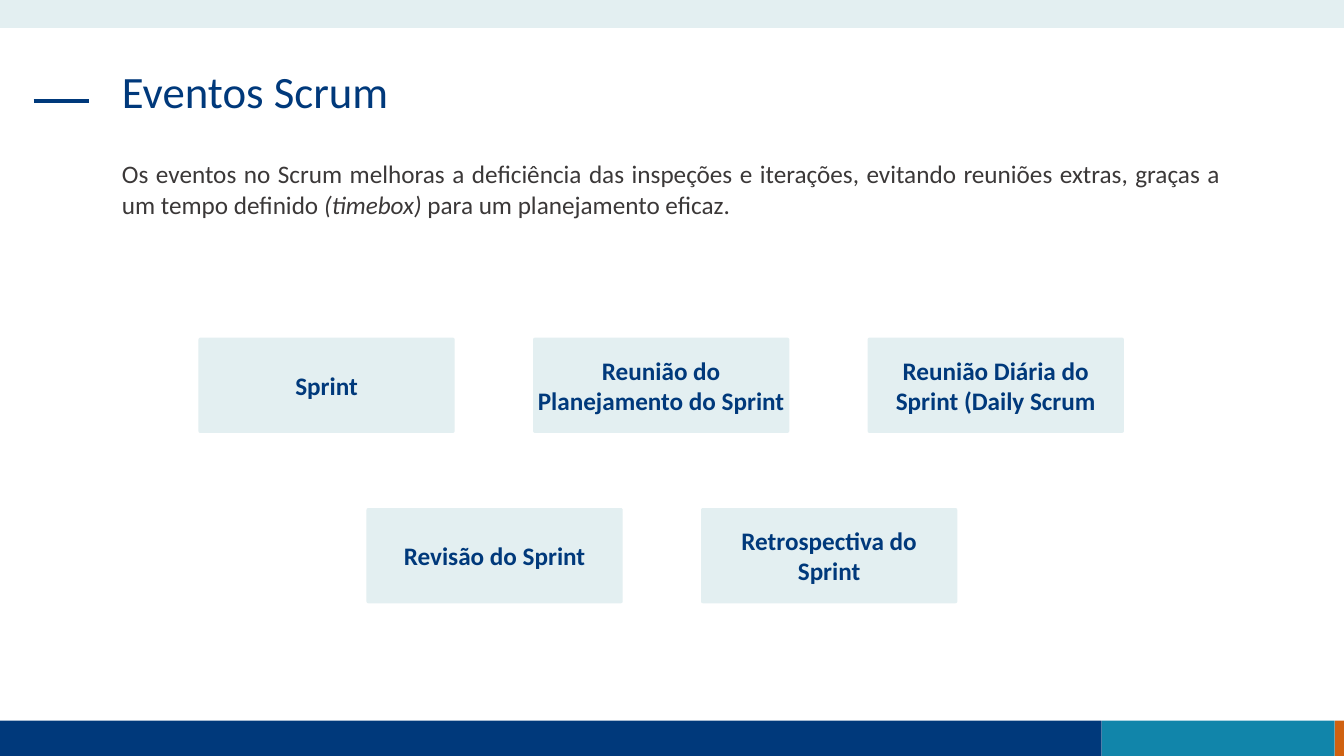
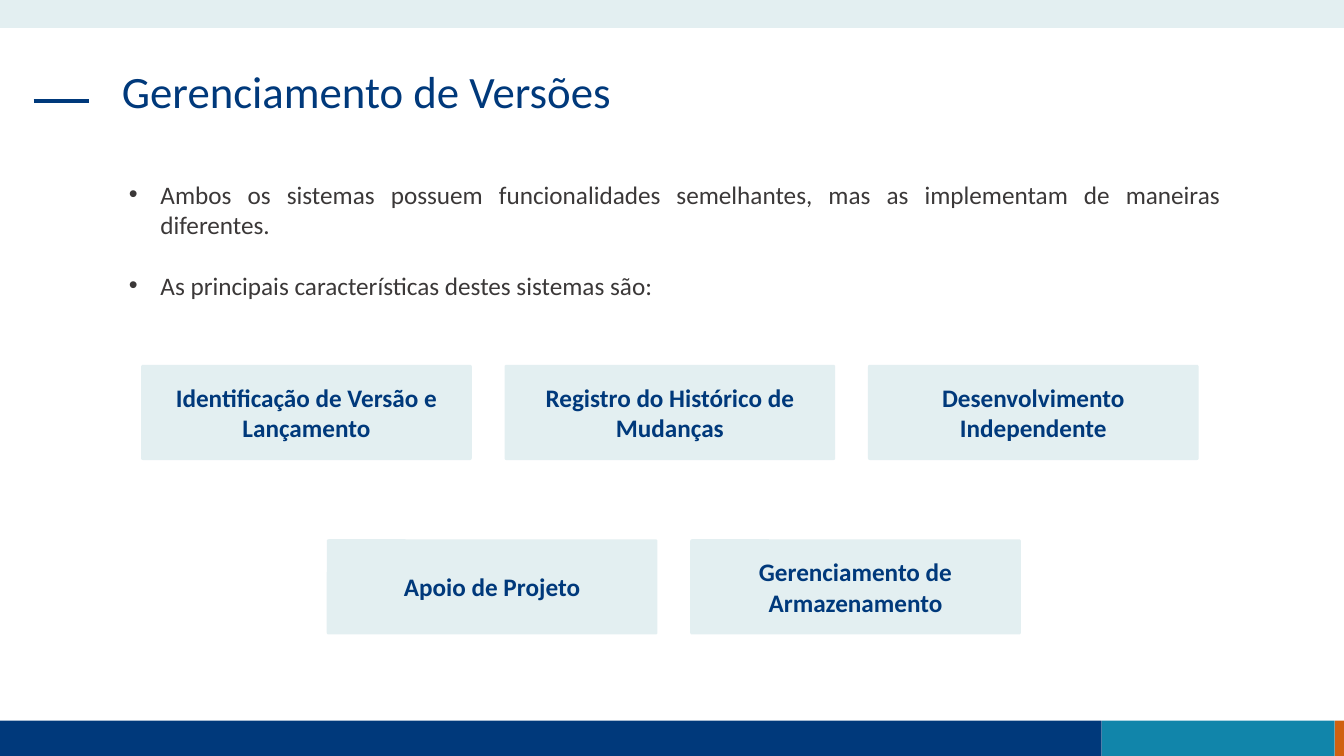
from lxml import etree
from pptx import Presentation
from pptx.dml.color import RGBColor
from pptx.enum.shapes import MSO_CONNECTOR, MSO_SHAPE
from pptx.enum.text import MSO_ANCHOR, PP_ALIGN
from pptx.oxml.ns import qn
from pptx.util import Pt

RECTANGLE, ROUNDED = MSO_SHAPE.RECTANGLE, MSO_SHAPE.ROUNDED_RECTANGLE
STRAIGHT = MSO_CONNECTOR.STRAIGHT
LEFT, CENTER, JUSTIFY = PP_ALIGN.LEFT, PP_ALIGN.CENTER, PP_ALIGN.JUSTIFY
TOP, MIDDLE = MSO_ANCHOR.TOP, MSO_ANCHOR.MIDDLE

# Shared style
FONT = "Calibri"
NAVY, TEAL, ORANGE = "00397B", "1185AA", "D06110"
PALE, GRAY = "E3EFF1", "3B3838"
WIDTH, HEIGHT = 960, 540
FOOTER_HEIGHT = 25.2
BULLET_INDENT = 22.5
CARD_HEIGHT = 68
INSET = 7.2


def color(value):
    return RGBColor.from_string(value)


def add_bullet(para):
    properties = para._p.get_or_add_pPr()
    properties.set("marL", str(Pt(BULLET_INDENT)))
    properties.set("indent", str(-Pt(BULLET_INDENT)))
    etree.SubElement(properties, qn("a:buFont")).set("typeface", "Arial")
    etree.SubElement(properties, qn("a:buChar")).set("char", "•")


def write_text(shape, paragraphs, size=18, fill=GRAY, bold=False, align=LEFT,
               anchor=TOP, line_spacing=None, bullet=False, gap=0, inset=INSET):
    """Each paragraph is a list of (text, italic) spans."""
    frame = shape.text_frame
    frame.word_wrap = True
    frame.vertical_anchor = anchor
    frame.margin_left = frame.margin_right = Pt(inset)
    for index, spans in enumerate(paragraphs):
        para = frame.add_paragraph() if index else frame.paragraphs[0]
        if bullet:
            add_bullet(para)
        para.alignment = align
        if line_spacing:
            para.line_spacing = line_spacing
        if index and gap:
            para.space_before = Pt(gap)
        for text, italic in spans:
            span = para.add_run()
            span.text = text
            font = span.font
            font.name, font.size = FONT, Pt(size)
            font.bold, font.italic = bold, italic
            font.color.rgb = color(fill)


def add_block(page, box, fill, kind=RECTANGLE):
    block = page.shapes.add_shape(kind, *map(Pt, box))
    block.shadow.inherit = False
    block.fill.solid()
    block.fill.fore_color.rgb = color(fill)
    block.line.fill.background()
    return block


def add_text(page, box, paragraphs, **style):
    write_text(page.shapes.add_textbox(*map(Pt, box)), paragraphs, **style)


def add_footer(page, top):
    edges = [0, 787, 953.4, WIDTH]
    for left, right, fill in zip(edges, edges[1:], (NAVY, TEAL, ORANGE)):
        add_block(page, (left, top, right - left, FOOTER_HEIGHT), fill)


def add_title(page, box, title):
    left, top = box[:2]
    dash_top = top + 26
    dash = page.shapes.add_connector(
        STRAIGHT, Pt(left - 56), Pt(dash_top), Pt(left - 16.5), Pt(dash_top))
    dash.line.color.rgb = color(NAVY)
    dash.line.width = Pt(3)
    etree.SubElement(dash._element.spPr, qn("a:effectLst"))
    add_text(page, box, [[(title, False)]], size=32, fill=NAVY, line_spacing=0.9)


def add_card_row(page, left, top, width, pitch, labels, insets):
    for column, label in enumerate(labels):
        box = (left + column * pitch, top, width, CARD_HEIGHT)
        card = add_block(page, box, PALE, ROUNDED)
        card.adjustments[0] = 0.019
        write_text(card, [[(label, False)]], fill=NAVY, bold=True, align=CENTER,
                   anchor=MIDDLE, inset=insets.get(label, INSET))


def add_cards_page(deck, title, body_box, body, card_width, pitch, rows,
                   bullet=False, gap=0, insets=None):
    page = deck.slides.add_slide(deck.slide_layouts[6])
    # Bands and title
    add_footer(page, HEIGHT - FOOTER_HEIGHT)
    add_block(page, (0, 0, WIDTH, 20), PALE)
    add_title(page, (80, 46, 799, 68), title)
    # Introduction
    add_text(page, body_box, body, align=JUSTIFY, anchor=MIDDLE,
             bullet=bullet, gap=gap)
    # Cards
    for left, top, labels in rows:
        add_card_row(page, left, top, card_width, pitch, labels, insets or {})


def main():
    deck = Presentation()
    deck.slide_width, deck.slide_height = Pt(WIDTH), Pt(HEIGHT)

    planning = "Reunião do Planejamento do Sprint"
    add_cards_page(
        deck, "Eventos Scrum", (80, 109.4, 799, 51),
        [[("Os eventos no Scrum melhoras a deficiência das inspeções e iterações, "
           "evitando reuniões extras, graças a um tempo definido ", False),
          ("(timebox) ", True),
          ("para um planejamento eficaz.", False)]],
        card_width=183, pitch=239,
        rows=[(141.8, 241.2, ["Sprint", planning,
                              "Reunião Diária do Sprint (Daily Scrum"]),
              (261.8, 362.9, ["Revisão do Sprint", "Retrospectiva do Sprint"])],
        insets={planning: 2})

    add_cards_page(
        deck, "Gerenciamento de Versões", (85, 124, 794, 94.3),
        [[("Ambos os sistemas possuem funcionalidades semelhantes, mas as "
           "implementam de maneiras diferentes.", False)],
         [("As principais características destes sistemas são:", False)]],
        card_width=236.2, pitch=259.6,
        rows=[(100.8, 260.6, ["Identificação de Versão e Lançamento",
                              "Registro do Histórico de Mudanças",
                              "Desenvolvimento Independente"]),
              (233.4, 385.2, ["Apoio de Projeto",
                              "Gerenciamento de Armazenamento"])],
        bullet=True, gap=22)

    deck.save("out.pptx")


if __name__ == "__main__":
    main()
